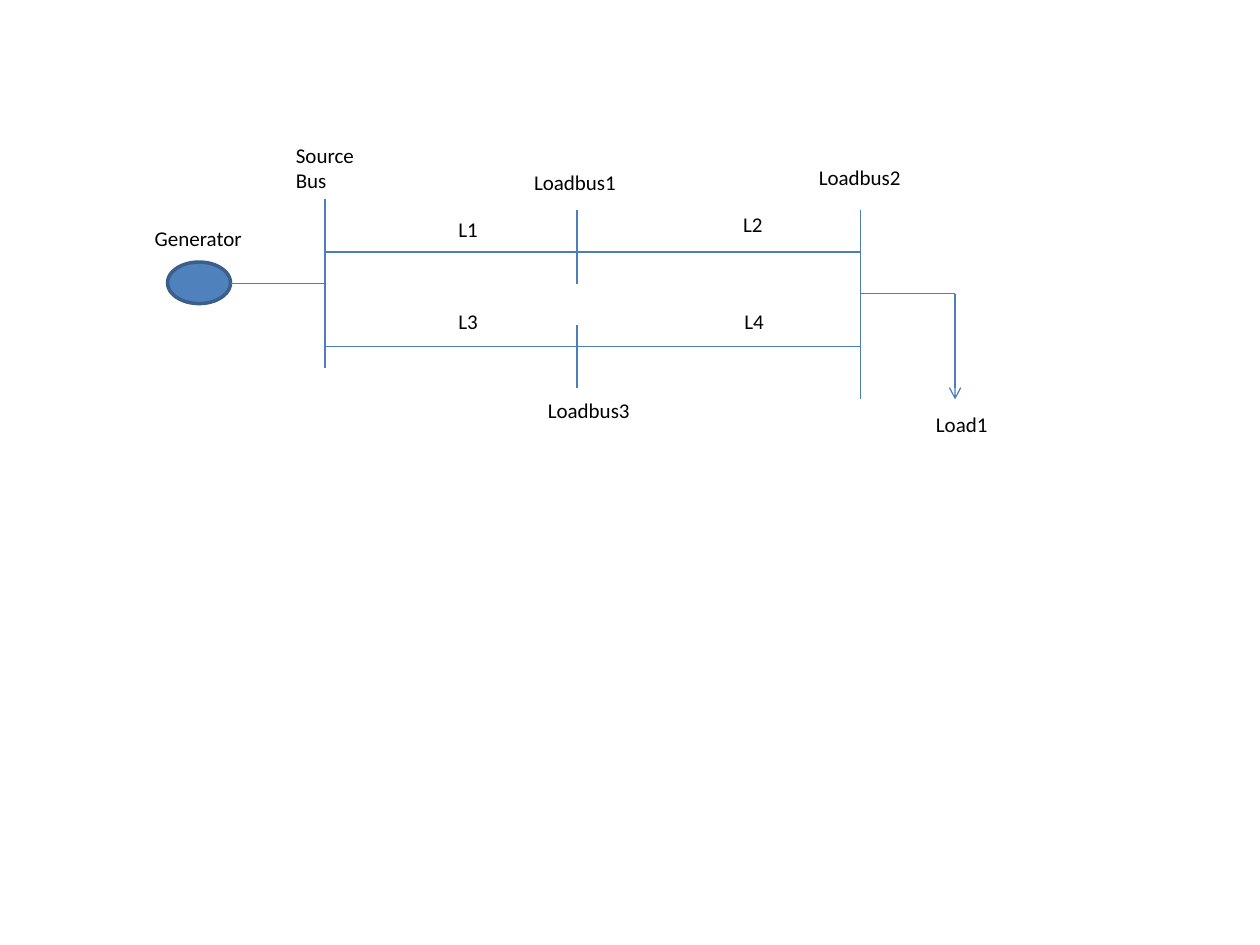
from dataclasses import dataclass

from lxml.etree import SubElement
from pptx import Presentation
from pptx.dml.color import RGBColor
from pptx.enum.shapes import MSO_CONNECTOR, MSO_SHAPE
from pptx.enum.text import MSO_AUTO_SIZE
from pptx.oxml.ns import qn
from pptx.util import Inches, Pt


@dataclass(frozen=True)
class Theme:
    fill: RGBColor = RGBColor(0x4F, 0x81, 0xBD)
    outline: RGBColor = RGBColor(0x3A, 0x5F, 0x8C)
    wire: RGBColor = RGBColor(0x4B, 0x7E, 0xBC)
    ink: RGBColor = RGBColor(0, 0, 0)
    font: str = "Calibri"
    text_size: Pt = Pt(12)
    wire_width: Pt = Pt(0.75)
    outline_width: Pt = Pt(2)


THEME = Theme()

# Bus columns and line rows, in inches
SOURCE_X, MIDDLE_X, LOAD_X, ARROW_X = 2.58, 4.58, 6.83, 7.58
UPPER_Y, LOWER_Y = 2, 2.75
GENERATOR_Y, FEEDER_Y = 2.25, 2.33
GENERATOR = (1.33, 2.08, 0.5, 0.33)

# Vertical buses: x, top, bottom
BUSES = [
    (SOURCE_X, 1.58, 2.92),
    (MIDDLE_X, 1.67, 2.25),
    (MIDDLE_X, 2.58, 3.08),
    (LOAD_X, 1.67, 3.17),
]

# Horizontal wires: y, left, right
WIRES = [(GENERATOR_Y, GENERATOR[0] + GENERATOR[2], SOURCE_X)]
for row in (UPPER_Y, LOWER_Y):
    WIRES += [(row, SOURCE_X, MIDDLE_X), (row, MIDDLE_X, LOAD_X)]
WIRES.append((FEEDER_Y, LOAD_X, ARROW_X))

# Labels: text, left, top, width, height
LABELS = [
    ("Generator", 1.13, 1.74, 0.9, 0.3),
    ("Source\nBus", 2.25, 1.08, 0.67, 0.5),
    ("L1", 3.54, 1.67, 0.36, 0.3),
    ("L2", 5.8, 1.63, 0.36, 0.3),
    ("L3", 3.54, 2.4, 0.36, 0.3),
    ("L4", 5.81, 2.4, 0.36, 0.3),
    ("Load1", 7.33, 3.22, 0.62, 0.3),
    ("Loadbus1", 4.14, 1.3, 0.86, 0.3),
    ("Loadbus3", 4.25, 3.11, 0.86, 0.3),
    ("Loadbus2", 6.4, 1.26, 0.86, 0.3),
]


def add_wire(page, x1, y1, x2, y2, arrow=False):
    wire = page.shapes.add_connector(
        MSO_CONNECTOR.STRAIGHT, *(Inches(value) for value in (x1, y1, x2, y2)))
    wire.line.color.rgb = THEME.wire
    wire.line.width = THEME.wire_width
    properties = wire.element.spPr
    if arrow:
        SubElement(properties.find(qn("a:ln")), qn("a:tailEnd"), type="arrow")
    SubElement(properties, qn("a:effectLst"))


def add_label(page, text, *place):
    box = page.shapes.add_textbox(*(Inches(value) for value in place))
    frame = box.text_frame
    frame.text = text
    frame.word_wrap = False
    frame.auto_size = MSO_AUTO_SIZE.SHAPE_TO_FIT_TEXT
    for para in frame.paragraphs:
        for span in para.runs:
            span.font.name = THEME.font
            span.font.size = THEME.text_size
            span.font.color.rgb = THEME.ink


deck = Presentation()
deck.slide_width, deck.slide_height = Inches(10), Inches(7.5)
page = deck.slides.add_slide(deck.slide_layouts[6])

# Generator
generator = page.shapes.add_shape(
    MSO_SHAPE.OVAL, *(Inches(value) for value in GENERATOR))
generator.shadow.inherit = False
generator.fill.solid()
generator.fill.fore_color.rgb = THEME.fill
generator.line.color.rgb = THEME.outline
generator.line.width = THEME.outline_width

# Buses, wires and the load arrow
for x, top, bottom in BUSES:
    add_wire(page, x, top, x, bottom)
for y, left, right in WIRES:
    add_wire(page, left, y, right, y)
add_wire(page, ARROW_X, FEEDER_Y, ARROW_X, 3.17, arrow=True)

# Labels
for label in LABELS:
    add_label(page, *label)

deck.save("out.pptx")
